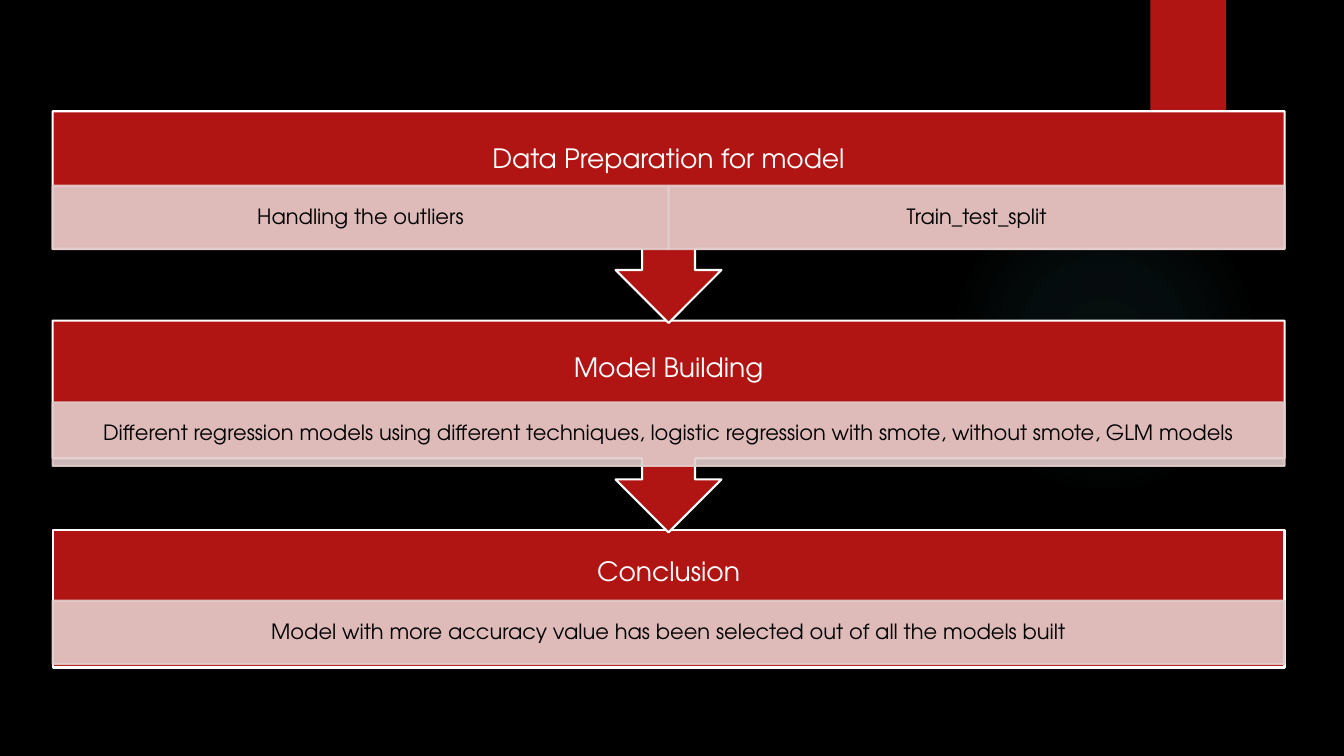
from dataclasses import dataclass

from lxml import etree
from pptx import Presentation
from pptx.dml.color import RGBColor
from pptx.enum.shapes import MSO_SHAPE as Preset
from pptx.enum.text import MSO_ANCHOR as Anchor, PP_ALIGN as Align
from pptx.oxml import parse_xml
from pptx.oxml.ns import nsdecls, qn
from pptx.util import Pt


@dataclass(frozen=True)
class Theme:
    """Colours, font and type sizes of the slide."""
    background: str = "000000"
    red: str = "B01513"
    pale: str = "E4CCCC"
    glow: str = "50B9C1"
    white: str = "FFFFFF"
    black: str = "000000"
    font: str = "TeX Gyre Adventor"
    heading_size: int = 19
    detail_size: int = 15


THEME = Theme()
LEFT, WIDTH = 37.6, 880
FIRST_TOP, STEP_PITCH = 79.5, 149.6
BODY_HEIGHT, CALLOUT_HEIGHT = 98.1, 151.2
DETAIL_HEIGHT = 45.3
STEPS = [
    ("Data Preparation for model", 53.2, ["Handling the outliers", "Train_test_split"]),
    ("Model Building", 58.4, [
        "Different regression models using different techniques, "
        "logistic regression with smote, without smote, GLM models"]),
    ("Conclusion", 50.4, [
        "Model with more accuracy value has been selected out of all the models built"]),
]


def add_block(slide, preset, box, color, line_color=None):
    """Add a flat filled shape and return it."""
    shape = slide.shapes.add_shape(preset, *(Pt(length) for length in box))
    shape.shadow.inherit = False
    shape.fill.solid()
    shape.fill.fore_color.rgb = RGBColor.from_string(color)
    if line_color:
        shape.line.color.rgb = RGBColor.from_string(line_color)
        shape.line.width = Pt(1.5)
    else:
        shape.line.fill.background()
    return shape


def write_text(shape, text, size, color, insets):
    """Write one centred paragraph with the given left, top, right and bottom insets."""
    frame = shape.text_frame
    frame.word_wrap = True
    frame.vertical_anchor = Anchor.MIDDLE
    (frame.margin_left, frame.margin_top,
     frame.margin_right, frame.margin_bottom) = (Pt(inset) for inset in insets)
    paragraph = frame.paragraphs[0]
    paragraph.text = text
    paragraph.alignment = Align.CENTER
    paragraph.line_spacing = 0.9
    paragraph.font.name = THEME.font
    paragraph.font.size = Pt(size)
    paragraph.font.color.rgb = RGBColor.from_string(color)


def set_opacity(shape, percent):
    """Make the fill and line of a shape partly transparent."""
    for color in shape._element.spPr.iter(qn("a:srgbClr")):
        etree.SubElement(color, qn("a:alpha"), val=str(percent * 1000))


def add_glow(slide):
    """Add the faint round glow behind the steps."""
    glow = add_block(slide, Preset.OVAL, (677.5, 131.8, 221.8, 221.8), THEME.glow)
    stops = "".join(
        f'<a:gs pos="{position * 1000}"><a:srgbClr val="{THEME.glow}">'
        f'<a:alpha val="{opacity * 1000}"/></a:srgbClr></a:gs>'
        for position, opacity in [(0, 7), (36, 6), (69, 0)])
    gradient = parse_xml(
        f'<a:gradFill {nsdecls("a")}><a:gsLst>{stops}</a:gsLst><a:path path="circle">'
        '<a:fillToRect l="50000" t="50000" r="50000" b="50000"/></a:path></a:gradFill>')
    properties = glow._element.spPr
    properties.replace(properties.find(qn("a:solidFill")), gradient)


def add_step(slide, index, heading, detail_offset, details):
    """Add a heading block with its detail cells, pointing down unless it is the last."""
    top = FIRST_TOP + index * STEP_PITCH
    is_last = index == len(STEPS) - 1
    preset, height, bottom_inset = (
        (Preset.RECTANGLE, BODY_HEIGHT, 48.2) if is_last
        else (Preset.DOWN_ARROW_CALLOUT, CALLOUT_HEIGHT, 40))
    block = add_block(slide, preset, (LEFT, top, WIDTH, height), THEME.red, THEME.white)
    write_text(block, heading, THEME.heading_size, THEME.white,
               (10.8, 10.8, 10.8, bottom_inset))
    cell_width = WIDTH / len(details)
    for column, detail in enumerate(details):
        box = (LEFT + column * cell_width, top + detail_offset, cell_width, DETAIL_HEIGHT)
        cell = add_block(slide, Preset.RECTANGLE, box, THEME.pale, THEME.pale)
        set_opacity(cell, 90)
        write_text(cell, detail, THEME.detail_size, THEME.black, (8.6, 1.4, 8.6, 1.4))


def main():
    """Build the slide and save it."""
    presentation = Presentation()
    presentation.slide_width, presentation.slide_height = Pt(960), Pt(540)
    slide = presentation.slides.add_slide(presentation.slide_layouts[6])
    slide.background.fill.solid()
    slide.background.fill.fore_color.rgb = RGBColor.from_string(THEME.background)
    add_glow(slide)
    add_block(slide, Preset.RECTANGLE, (821.8, 0, 54, 90), THEME.red)
    for index, step in reversed(list(enumerate(STEPS))):
        add_step(slide, index, *step)
    presentation.save("out.pptx")


if __name__ == "__main__":
    main()
